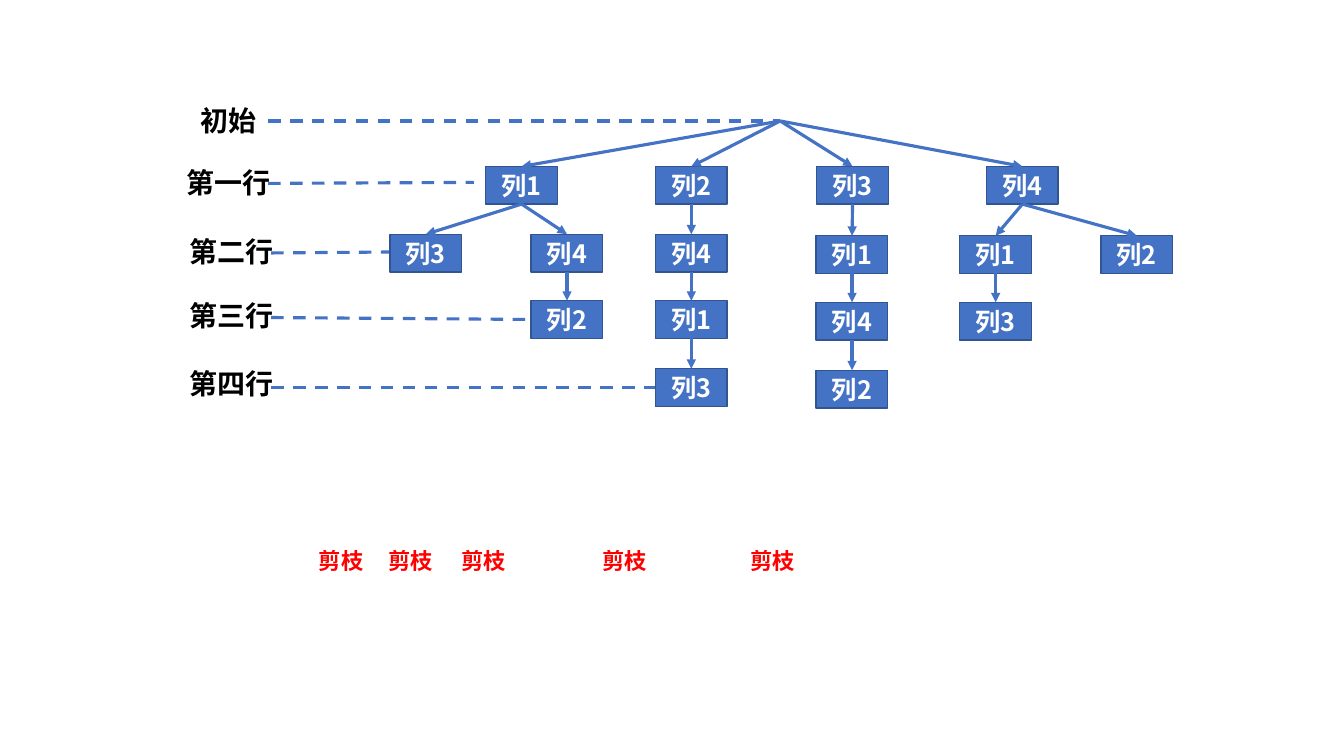
import dataclasses

import lxml.etree
import pptx
import pptx.dml.color
import pptx.enum.dml
import pptx.enum.shapes
import pptx.enum.text
import pptx.oxml.ns
import pptx.util

Pt = pptx.util.Pt
qualify = pptx.oxml.ns.qn
TOP_SITE, BOTTOM_SITE = 0, 2


@dataclasses.dataclass(frozen=True)
class Theme:
    font: str = "Noto Sans CJK SC"
    blue: str = "4472C4"
    border: str = "325491"
    white: str = "FFFFFF"
    black: str = "000000"
    red: str = "FF0000"
    label_size: float = 20
    node_size: float = 18
    prune_size: float = 16
    line_width: float = 2.25
    border_width: float = 1


def color(value):
    return pptx.dml.color.RGBColor.from_string(value)


class TreeSlide:
    def __init__(self, slide, theme):
        self.shapes = slide.shapes
        self.theme = theme

    def set_text(self, shape, text, size, ink):
        para = shape.text_frame.paragraphs[0]
        para.text = text
        para.alignment = pptx.enum.text.PP_ALIGN.CENTER
        para.font.size = Pt(size)
        para.font.bold = True
        para.font.color.rgb = color(ink)
        para.font.name = self.theme.font
        defaults = para._p.pPr.find(qualify("a:defRPr"))
        east_asian = lxml.etree.SubElement(defaults, qualify("a:ea"))
        east_asian.set("typeface", self.theme.font)

    def label(self, text, left, top, width, height, size, ink, wrap):
        box = self.shapes.add_textbox(Pt(left), Pt(top), Pt(width), Pt(height))
        box.text_frame.word_wrap = wrap
        box.text_frame.auto_size = pptx.enum.text.MSO_AUTO_SIZE.SHAPE_TO_FIT_TEXT
        self.set_text(box, text, size, ink)

    def node(self, text, center, top):
        box = self.shapes.add_shape(
            pptx.enum.shapes.MSO_SHAPE.RECTANGLE,
            Pt(center - NODE_WIDTH / 2), Pt(top), Pt(NODE_WIDTH), Pt(NODE_HEIGHT))
        box.shadow.inherit = False
        box.fill.solid()
        box.fill.fore_color.rgb = color(self.theme.blue)
        box.line.color.rgb = color(self.theme.border)
        box.line.width = Pt(self.theme.border_width)
        box.text_frame.word_wrap = True
        box.text_frame.vertical_anchor = pptx.enum.text.MSO_ANCHOR.MIDDLE
        self.set_text(box, text, self.theme.node_size, self.theme.white)
        return box

    def line(self, start, end):
        connector = self.shapes.add_connector(
            pptx.enum.shapes.MSO_CONNECTOR.STRAIGHT, *map(Pt, start + end))
        connector.line.color.rgb = color(self.theme.blue)
        connector.line.width = Pt(self.theme.line_width)
        lxml.etree.SubElement(connector._element.spPr, qualify("a:effectLst"))
        return connector

    def guide(self, start, end):
        connector = self.line(start, end)
        connector.line.dash_style = pptx.enum.dml.MSO_LINE.DASH

    def arrow(self, parent, child):
        connector = self.line(ROOT, ROOT)
        if parent is not None:
            connector.begin_connect(parent, BOTTOM_SITE)
        connector.end_connect(child, TOP_SITE)
        outline = connector._element.spPr.find(qualify("a:ln"))
        lxml.etree.SubElement(outline, qualify("a:tailEnd")).set("type", "triangle")

    def branch(self, tree, parent=None, level=0):
        text, center, children = tree
        drop = RIGHT_DROP if level and center > ROOT[0] else 0
        box = self.node(text, center, ROW_TOPS[level] + drop)
        self.arrow(parent, box)
        for child in children:
            self.branch(child, box, level + 1)


NODE_WIDTH, NODE_HEIGHT = 51.2, 26.9
ROOT = (557.3, 86.4)
ROW_TOPS = (118.9, 167.3, 214.8, 263.4)
RIGHT_DROP = 1.1

TREES = (
    ("列1", 372.6, (
        ("列3", 304.2, ()),
        ("列4", 405, (("列2", 405, ()),)))),
    ("列2", 493.8, (
        ("列4", 493.8, (("列1", 493.8, (("列3", 493.8, ()),)),)),)),
    ("列3", 609, (
        ("列1", 608.6, (("列4", 608.6, (("列2", 608.6, ()),)),)),)),
    ("列4", 730.3, (
        ("列1", 711.2, (("列3", 711.2, ()),)),
        ("列2", 812, ()))),
)

ROW_LABELS = (
    ("初始", 136.1, 70.6, 54.7, (191.5, 86.4), ROOT),
    ("第一行", 126, 114.5, 74.9, (191.5, 131), (338.4, 130.3)),
    ("第二行", 128.2, 164.2, 74.9, (193.7, 180.7), (278.6, 180)),
    ("第三行", 128.2, 209.5, 74.9, (193.7, 226.8), (379.4, 228.2)),
    ("第四行", 128.2, 258.5, 74.9, (193.7, 276.5), (468, 276.5)),
)

PRUNE_LEFTS = (218.2, 267.8, 319.7, 420.5, 526.3)
PRUNE_TOP = 387


def main():
    deck = pptx.Presentation()
    deck.slide_width, deck.slide_height = Pt(960), Pt(540)
    theme = Theme()
    page = TreeSlide(deck.slides.add_slide(deck.slide_layouts[6]), theme)
    for text, left, top, width, start, end in ROW_LABELS:
        page.label(text, left, top, width, 31.5, theme.label_size, theme.black, False)
        page.guide(start, end)
    for left in PRUNE_LEFTS:
        page.label("剪枝", left, PRUNE_TOP, NODE_WIDTH, NODE_HEIGHT,
                   theme.prune_size, theme.red, True)
    for tree in TREES:
        page.branch(tree)
    deck.save("out.pptx")


if __name__ == "__main__":
    main()
